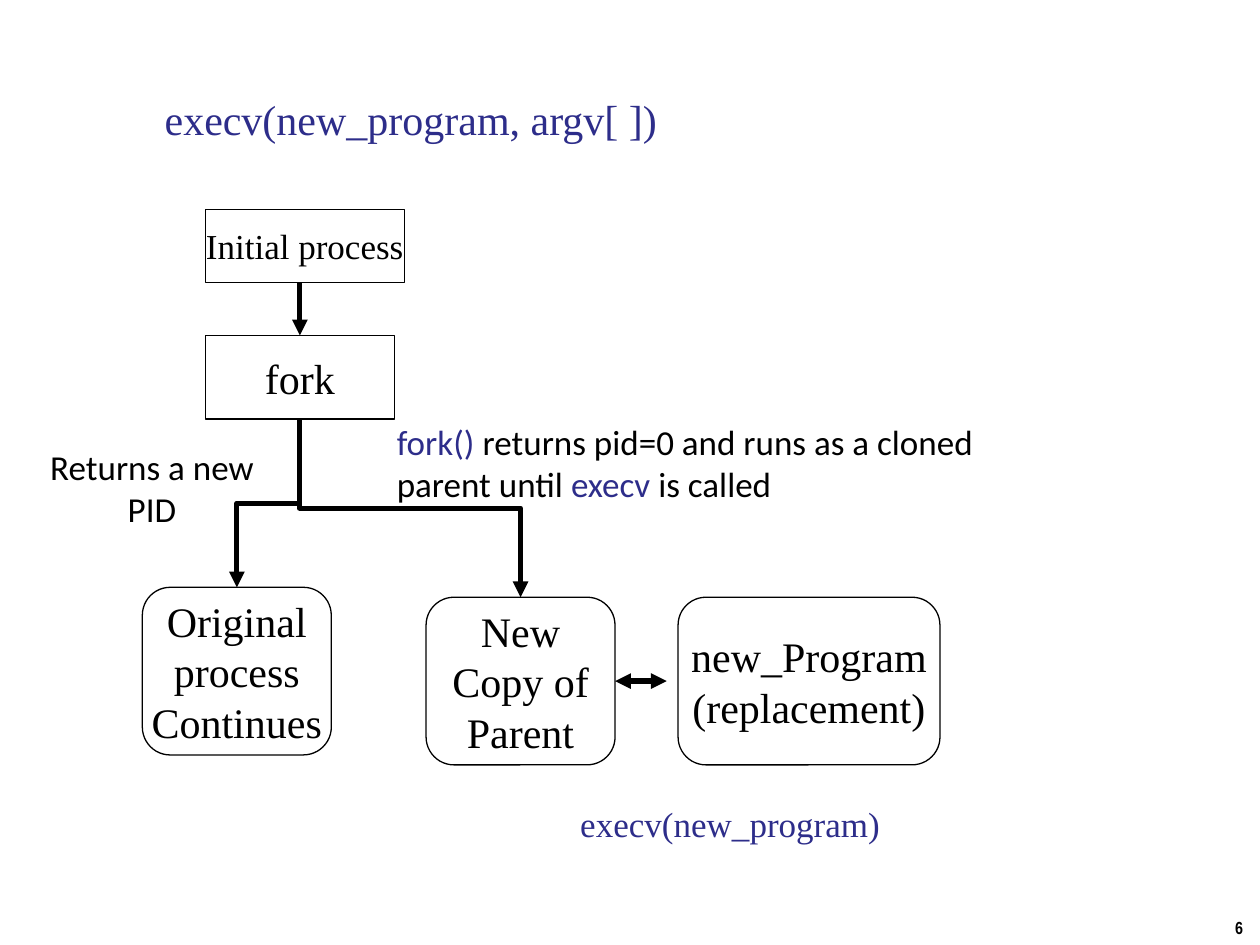
import pptx
import pptx.dml.color
import pptx.enum.shapes
import pptx.enum.text
import pptx.oxml.ns
import pptx.util
import lxml.etree

Cm = pptx.util.Cm
Pt = pptx.util.Pt
qn = pptx.oxml.ns.qn
SHAPE = pptx.enum.shapes.MSO_SHAPE
CONNECTOR = pptx.enum.shapes.MSO_CONNECTOR
ANCHOR = pptx.enum.text.MSO_ANCHOR
ALIGN = pptx.enum.text.PP_ALIGN

COLOURS = {
    name: pptx.dml.color.RGBColor.from_string(value)
    for name, value in {"black": "000000", "blue": "2D2D8A"}.items()
}
SERIF, SANS, NARROW = "Times New Roman", "Calibri", "Arial Narrow"


def write_text(shape, parts, frame_format, paragraph_format, font_format):
    """Write (text, colour) parts as one paragraph; a newline is a line break."""
    frame = shape.text_frame
    paragraph = frame.paragraphs[0]
    for part_text, colour in parts:
        for index, line in enumerate(part_text.split("\n")):
            if index:
                paragraph.add_line_break()
            run = paragraph.add_run()
            run.text = line
            run.font.color.rgb = COLOURS[colour]
            for name, value in font_format.items():
                setattr(run.font, name, value)
    for target, values in ((frame, frame_format), (paragraph, paragraph_format)):
        for name, value in values.items():
            setattr(target, name, value)


def add_arrow(kind, start, end, heads=("tailEnd",)):
    connector = slide.shapes.add_connector(kind, *start, *end)
    connector.line.color.rgb = COLOURS["black"]
    connector.line.width = Pt(3)
    line = connector.line._get_or_add_ln()
    for head in heads:
        lxml.etree.SubElement(line, qn("a:" + head), type="triangle")
    properties = connector._element.spPr
    lxml.etree.SubElement(properties, qn("a:effectLst"))
    return connector


presentation = pptx.Presentation()
presentation.slide_width = Cm(25.4)
presentation.slide_height = Cm(19.05)
slide = presentation.slides.add_slide(presentation.slide_layouts[6])

# Process boxes: preset, left, top, width, height, text, size
boxes = {}
for key, preset, left, top, width, height, text, size in (
    ("initial", SHAPE.FLOWCHART_PROCESS, 4.14, 4.22, 4.01, 1.47,
     "Initial process", 20),
    ("fork", SHAPE.FLOWCHART_PROCESS, 4.14, 6.76, 3.81, 1.69, "fork", 24),
    ("parent", SHAPE.FLOWCHART_ALTERNATE_PROCESS, 2.87, 11.84, 3.81, 3.38,
     "Original\nprocess\nContinues", 24),
    ("child", SHAPE.FLOWCHART_ALTERNATE_PROCESS, 8.59, 12.04, 3.81, 3.38,
     "New\nCopy of\nParent", 24),
    ("program", SHAPE.FLOWCHART_ALTERNATE_PROCESS, 13.67, 12.04, 5.28, 3.38,
     "new_Program\n(replacement)", 24),
):
    box = slide.shapes.add_shape(preset, Cm(left), Cm(top), Cm(width), Cm(height))
    box.shadow.inherit = False
    box.fill.background()
    box.line.color.rgb = COLOURS["black"]
    box.line.width = Pt(0.75)
    write_text(
        box, [(text, "black")],
        {"word_wrap": False, "vertical_anchor": ANCHOR.MIDDLE},
        {"alignment": ALIGN.CENTER},
        {"name": SERIF, "size": Pt(size)},
    )
    boxes[key] = box

# Straight arrows
fork, child = boxes["fork"], boxes["child"]
fork_middle = fork.left + fork.width // 2
fork_bottom = fork.top + fork.height
initial_bottom = boxes["initial"].top + boxes["initial"].height
arrow = add_arrow(CONNECTOR.STRAIGHT, (fork_middle, initial_bottom),
                  (fork_middle, fork.top))
arrow.end_connect(fork, 0)

child_right = child.left + child.width
child_middle = child.top + child.height // 2
arrow = add_arrow(CONNECTOR.STRAIGHT, (child_right, child_middle),
                  (child_right + Cm(1.04), child_middle), ("headEnd", "tailEnd"))
arrow.begin_connect(child, 3)

# Elbow arrows leave the fork downwards, so their frames are turned a quarter
for key in ("parent", "child"):
    target = boxes[key]
    target_middle = target.left + target.width // 2
    length = target.top - fork_bottom
    spread = abs(target_middle - fork_middle)
    left = (fork_middle + target_middle - length) // 2
    top = (fork_bottom + target.top - spread) // 2
    elbow = add_arrow(CONNECTOR.ELBOW, (left, top), (left + length, top + spread))
    transform = elbow._element.spPr.find(qn("a:xfrm"))
    if target_middle < fork_middle:
        transform.set("rot", "5400000")
    else:
        transform.set("rot", "16200000")
        transform.set("flipH", "1")

# Title, labels and slide number
title_format = {"alignment": ALIGN.LEFT, "line_spacing": 0.9}
left_format = {"alignment": ALIGN.LEFT}
centre_format = {"alignment": ALIGN.CENTER}
for left, top, width, height, parts, wrap, paragraph_format, font_format in (
    (3.07, 1.88, 21.59, 3.38, [("execv(new_program, argv[ ])", "blue")],
     True, title_format, {"name": SERIF, "size": Pt(24)}),
    (0.74, 8.86, 4.65, 1.96, [("Returns a new PID", "black")],
     True, centre_format, {"name": SANS, "size": Pt(20)}),
    (7.75, 8.36, 14.17, 1.96,
     [("fork() ", "blue"),
      ("returns pid=0 and runs as a cloned parent until ", "black"),
      ("execv", "blue"), (" is called", "black")],
     True, left_format, {"name": SANS, "size": Pt(20)}),
    (10.49, 16.05, 8.46, 1.12, [("execv(new_program)", "blue")],
     True, centre_format, {"name": SERIF, "size": Pt(20)}),
    (24.03, 18.36, 1.9, 0.69, [("6", "black")],
     False, centre_format, {"name": NARROW, "size": Pt(10), "bold": True}),
):
    label = slide.shapes.add_textbox(Cm(left), Cm(top), Cm(width), Cm(height))
    write_text(label, parts, {"word_wrap": wrap}, paragraph_format, font_format)

presentation.save("out.pptx")
